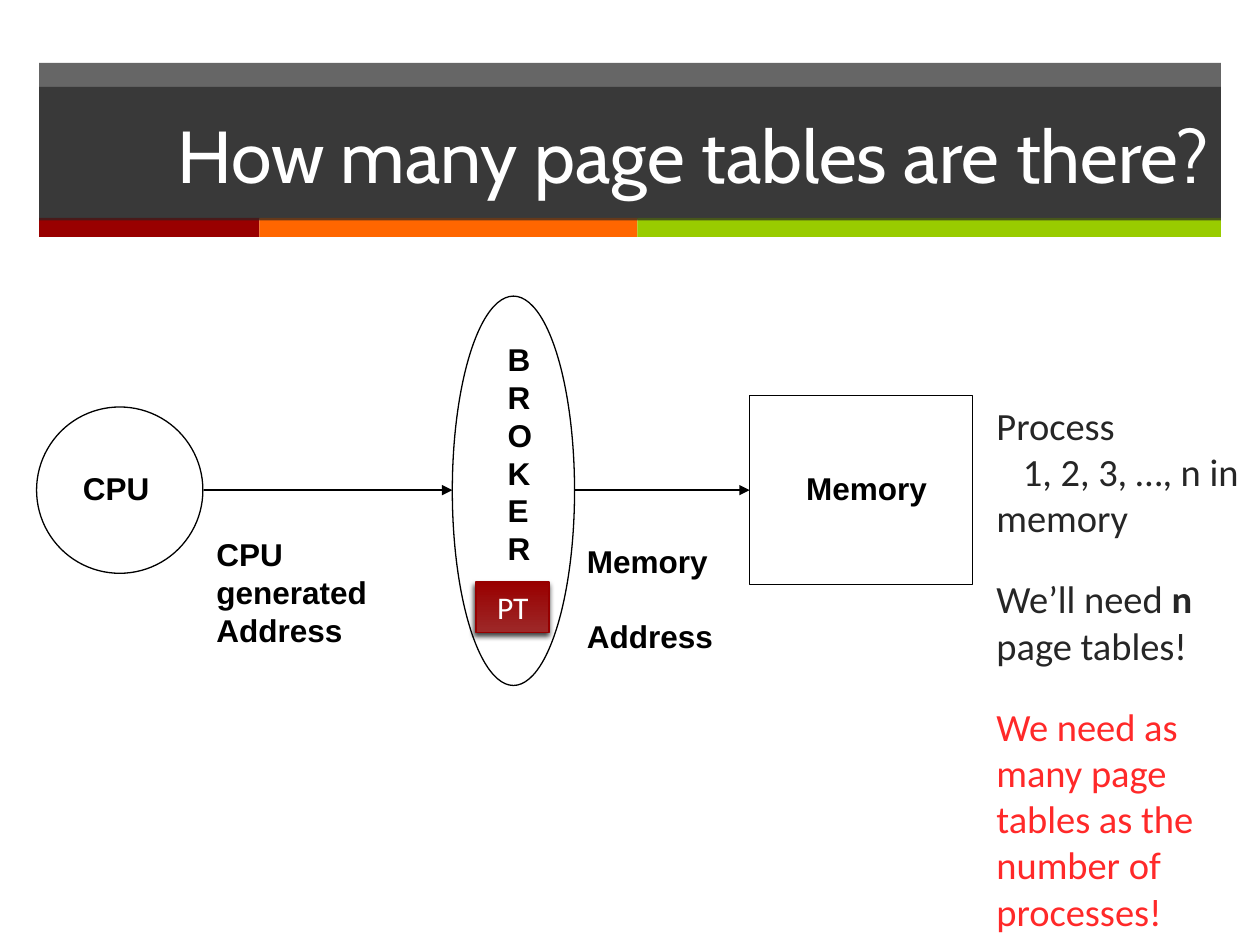
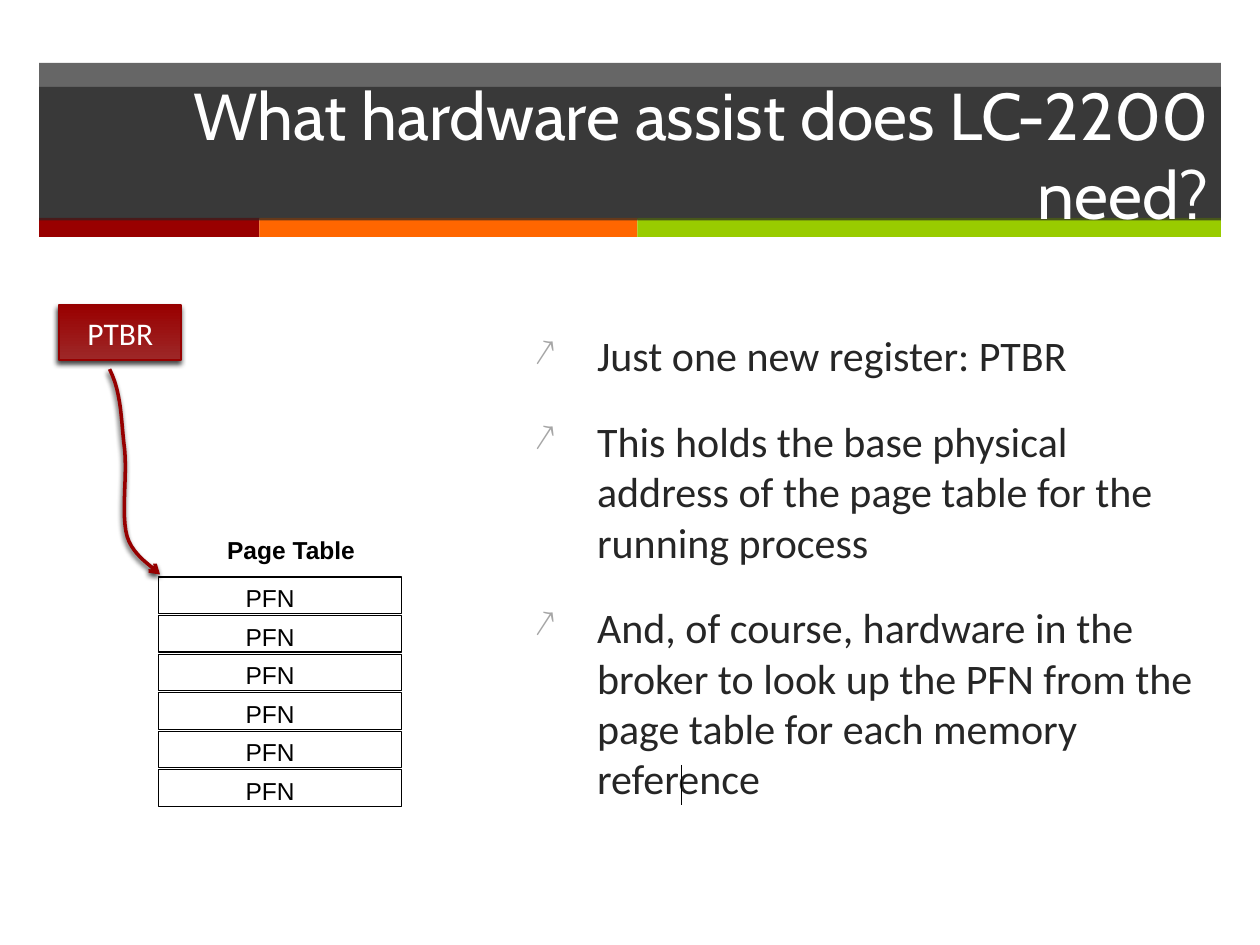
"""Build two slides on page tables and the hardware that supports them."""
from dataclasses import dataclass
from lxml.etree import SubElement
from pptx import Presentation
from pptx.dml.color import RGBColor
from pptx.enum.shapes import MSO_CONNECTOR, MSO_SHAPE
from pptx.enum.text import MSO_ANCHOR, MSO_AUTO_SIZE, PP_ALIGN
from pptx.oxml.ns import qn
from pptx.util import Inches, Pt


@dataclass(frozen=True)
class Theme:
    """Hold the colours, fonts and type sizes."""
    black: str = "000000"
    white: str = "FFFFFF"
    dark: str = "262626"
    bullet: str = "A6A6A6"
    warning: str = "FF2929"
    red: str = "990000"
    red_light: str = "9D2828"
    red_line: str = "960000"
    orange: str = "FF6600"
    green: str = "99CC00"
    title_font: str = "Cabin"
    body_font: str = "Calibri"
    label_font: str = "Arial"
    title_size: float = 42
    long_title_size: float = 37.8
    body_size: float = 24
    side_size: float = 22
    label_size: float = 18
    small_size: float = 14
    label_pitch: float = 21.6
    paragraph_gap: float = 20


THEME = Theme()
TITLE = {"name": THEME.title_font, "size": Pt(THEME.title_size), "color": THEME.white}
BODY = {"name": THEME.body_font, "size": Pt(THEME.body_size), "color": THEME.dark}
SIDE = {**BODY, "size": Pt(THEME.side_size)}
REGISTER = {**BODY, "size": Pt(THEME.label_size), "color": THEME.white}
LABEL = {"name": THEME.label_font, "size": Pt(THEME.label_size), "bold": True, "color": THEME.black}
CELL = {**LABEL, "size": Pt(THEME.small_size), "bold": False}
LABEL_LINES = {"line_spacing": Pt(THEME.label_pitch)}
CENTERED = {"alignment": PP_ALIGN.CENTER}
GAP = {"space_before": Pt(THEME.paragraph_gap)}


def rgb(color):
    """Turn a hex string into a colour."""
    return RGBColor.from_string(color)


def apply(target, values):
    """Set every attribute in values on the target."""
    for name, value in values.items():
        setattr(target, name, value)


def bezier(start, first, second, end, steps=12):
    """Return points along a cubic curve, without its start."""
    points = []
    for step in range(1, steps + 1):
        t = step / steps
        weights = ((1 - t) ** 3, 3 * t * (1 - t) ** 2, 3 * t ** 2 * (1 - t), t ** 3)
        corners = (start, first, second, end)
        points.append(tuple(sum(w * c[axis] for w, c in zip(weights, corners)) for axis in (0, 1)))
    return points


class SlideBuilder:
    """Draw styled elements on the current slide."""

    def __init__(self, deck, theme):
        """Keep the deck and the theme."""
        self.deck = deck
        self.theme = theme
        self.page = None

    def new_page(self, title, size):
        """Add a slide with its bands and title."""
        theme = self.theme
        self.page = self.deck.slides.add_slide(self.deck.slide_layouts[5])
        self.translucent(self.shape((0.31, 0.5, 9.38, 1.24), line=None))
        left = 0.31
        for width, color in ((1.75, theme.red), (3, theme.orange), (4.63, theme.green)):
            self.shape((left, 1.73, width, 0.15), fill=color, line=None)
            left += width
        heading = self.page.shapes.title
        self.place(heading, (0.31, 0.69, 9.38, 1.06))
        self.translucent(heading)
        apply(heading.text_frame, {"word_wrap": True, "auto_size": MSO_AUTO_SIZE.NONE,
                                   "vertical_anchor": MSO_ANCHOR.MIDDLE})
        self.add_spans(heading.text_frame.paragraphs[0], [title], {**TITLE, "size": Pt(size)},
                       {"alignment": PP_ALIGN.RIGHT})
        self.page.shapes.element.append(heading.element)

    def place(self, shape, at):
        """Move and size a shape."""
        apply(shape, dict(zip(("left", "top", "width", "height"), map(Inches, at))))

    def translucent(self, shape):
        """Fill a shape with see-through dark grey."""
        shape.fill.solid()
        shape.fill.fore_color.rgb = rgb(self.theme.dark)
        color = shape.element.spPr.find(qn("a:solidFill"))[0]
        SubElement(color, qn("a:alpha"), val="70000")

    def stroke(self, shape, color, width, arrow=None):
        """Set the colour, width and arrowhead of a shape's line."""
        shape.line.color.rgb = rgb(color)
        shape.line.width = Pt(width)
        if arrow:
            SubElement(shape.element.spPr.find(qn("a:ln")), qn("a:tailEnd"), type=arrow)

    def cast_shadow(self, shape):
        """Give a shape a soft shadow below."""
        effects = shape.element.spPr.find(qn("a:effectLst"))
        shadow = SubElement(effects, qn("a:outerShdw"), blurRad=str(Pt(3)), dist=str(Pt(2)),
                            dir=str(110 * 60000), rotWithShape="0")
        color = SubElement(shadow, qn("a:srgbClr"), val=self.theme.black)
        SubElement(color, qn("a:alpha"), val="75000")

    def shape(self, at, kind=MSO_SHAPE.RECTANGLE, fill=None, line=THEME.black, width=0.75):
        """Add a preset shape."""
        shape = self.page.shapes.add_shape(kind, *map(Inches, at))
        shape.shadow.inherit = False
        if fill:
            shape.fill.solid()
            shape.fill.fore_color.rgb = rgb(fill)
        else:
            shape.fill.background()
        if line:
            self.stroke(shape, line, width)
        else:
            shape.line.fill.background()
        return shape

    def register(self, at, name):
        """Add a red register box with its name."""
        theme = self.theme
        box = self.shape(at, line=theme.red_line, width=1)
        box.fill.gradient()
        box.fill.gradient_angle = 90
        for stop, color in zip(box.fill.gradient_stops, (theme.red_light, theme.red)):
            stop.color.rgb = rgb(color)
        self.cast_shadow(box)
        apply(box.text_frame, {"vertical_anchor": MSO_ANCHOR.MIDDLE, "word_wrap": False})
        self.add_spans(box.text_frame.paragraphs[0], [name], REGISTER, CENTERED)

    def add_spans(self, para, spans, font, layout):
        """Fill a paragraph with spans of text or (text, font changes)."""
        apply(para, layout)
        for span in spans:
            text, changes = (span, {}) if isinstance(span, str) else span
            run = para.add_run()
            run.text = text
            values = {**font, **changes}
            run.font.color.rgb = rgb(values.pop("color"))
            apply(run.font, values)

    def text(self, at, rows, font, layout, frame=None):
        """Add a text box of (spans, layout changes) rows and return its paragraphs."""
        box = self.page.shapes.add_textbox(*map(Inches, at))
        apply(box.text_frame, {"word_wrap": True, **(frame or {})})
        paras = []
        for number, (spans, changes) in enumerate(rows):
            para = box.text_frame.add_paragraph() if number else box.text_frame.paragraphs[0]
            values = {**layout, **changes}
            if not number:
                values.pop("space_before", None)
            self.add_spans(para, spans, font, values)
            paras.append(para)
        return paras

    def indent(self, para, first, left=0):
        """Set a paragraph's first-line and left indents."""
        properties = para._p.get_or_add_pPr()
        properties.set("marL", str(Inches(left)))
        properties.set("indent", str(Inches(first)))
        return properties

    def bullets(self, at, items):
        """Add a list with arrow bullets."""
        for para in self.text(at, [([item], {}) for item in items], BODY, GAP):
            properties = self.indent(para, -0.5, 0.5)
            color = SubElement(properties, qn("a:buClr"))
            SubElement(color, qn("a:srgbClr"), val=self.theme.bullet)
            SubElement(properties, qn("a:buSzPct"), val="90000")
            SubElement(properties, qn("a:buChar"), char="↗")

    def line(self, start, end, arrow=None, target=None):
        """Add a straight line, joined to the left side of a target if given."""
        connector = self.page.shapes.add_connector(MSO_CONNECTOR.STRAIGHT, *map(Inches, start + end))
        self.stroke(connector, self.theme.black, 0.75, arrow)
        SubElement(connector.element.spPr, qn("a:effectLst"))
        if target:
            connector.end_connect(target, 1)

    def curve(self, start, segments):
        """Add a curved red arrow through cubic segments."""
        builder = self.page.shapes.build_freeform(*map(Inches, start))
        for segment in segments:
            points = bezier(start, *segment)
            builder.add_line_segments([tuple(map(Inches, point)) for point in points], close=False)
            start = segment[-1]
        arrow = builder.convert_to_shape()
        arrow.fill.background()
        arrow.shadow.inherit = False
        self.stroke(arrow, self.theme.red_line, 2, "arrow")
        self.cast_shadow(arrow)


def build_broker_slide(builder):
    """Show the broker between the processor and memory."""
    theme = builder.theme
    builder.new_page("How many page tables are there?", theme.title_size)
    side_rows = [
        (["Process"], {}),
        (["1, 2, 3, …, n in memory"], {"space_before": Pt(0)}),
        (["We’ll need ", ("n", {"bold": True}), " page tables!"], {}),
        ([("We need as many page tables as the number of processes!", {"color": theme.warning})], {}),
    ]
    side_paras = builder.text((7.81, 3.14, 2.19, 4.25), side_rows, SIDE, GAP)
    builder.indent(side_paras[1], 0.21)

    builder.shape((0.29, 3.23, 1.32, 1.32), MSO_SHAPE.OVAL)
    builder.shape((3.59, 2.35, 0.97, 3.09), MSO_SHAPE.OVAL)
    memory = builder.shape((5.95, 3.14, 1.77, 1.5))
    builder.line((1.62, 3.89), (3.59, 3.89), "triangle")
    builder.line((4.56, 3.89), (5.95, 3.89), "triangle", memory)

    address_gap = {"space_before": Pt(theme.label_pitch)}
    labels = (
        ((0.56, 3.67, 0.88, 0.35), [(["CPU"], {})], True),
        ((3.93, 2.65, 0.35, 1.68), [([letter], {}) for letter in "BROKER"], False),
        ((6.3, 3.67, 1.21, 0.35), [(["Memory"], {})], False),
        ((1.62, 4.2, 1.94, 0.62), [(["CPU generated"], {}), (["Address"], {})], True),
        ((4.56, 4.25, 1.21, 0.62), [(["Memory"], {}), (["Address"], address_gap)], False),
    )
    for at, rows, wrap in labels:
        builder.text(at, rows, LABEL, LABEL_LINES, {"word_wrap": wrap})
    builder.register((3.78, 4.62, 0.58, 0.4), "PT")


def build_register_slide(builder):
    """Show the base register pointing at the page table."""
    builder.new_page("What hardware assist does LC-2200 need?", builder.theme.long_title_size)
    builder.bullets((4.14, 2.57, 5.55, 4.73), (
        "Just one new register: PTBR",
        "This holds the base physical address of the page table for the running process",
        "And, of course, hardware in the broker to look up the PFN from the page table "
        "for each memory reference",
    ))
    first_top, last_top, row_count = 4.58, 6.11, 6
    for row in range(row_count):
        top = first_top + row * (last_top - first_top) / (row_count - 1)
        builder.shape((1.26, top, 1.93, 0.29))
        builder.text((1.26, top, 1.93, 0.34), [(["PFN"], {})], CELL, CENTERED,
                     {"margin_right": Inches(0.26)})
    builder.line((5.41, 6.07), (5.41, 6.39))
    builder.text((1.07, 4.2, 2.48, 0.34), [(["Page Table"], {})], {**CELL, "bold": True}, CENTERED)
    builder.register((0.47, 2.42, 0.97, 0.44), "PTBR")
    builder.curve((0.87, 2.93), (
        ((0.97, 3.13), (0.96, 3.35), (0.99, 3.57)),
        ((1.01, 3.8), (0.96, 4.09), (1.01, 4.26)),
        ((1.06, 4.42), (1.22, 4.5), (1.27, 4.56)),
    ))


def main():
    """Build and save the deck."""
    deck = Presentation()
    apply(deck, {"slide_width": Inches(10), "slide_height": Inches(7.5)})
    builder = SlideBuilder(deck, THEME)
    build_broker_slide(builder)
    build_register_slide(builder)
    deck.save("out.pptx")


if __name__ == "__main__":
    main()
